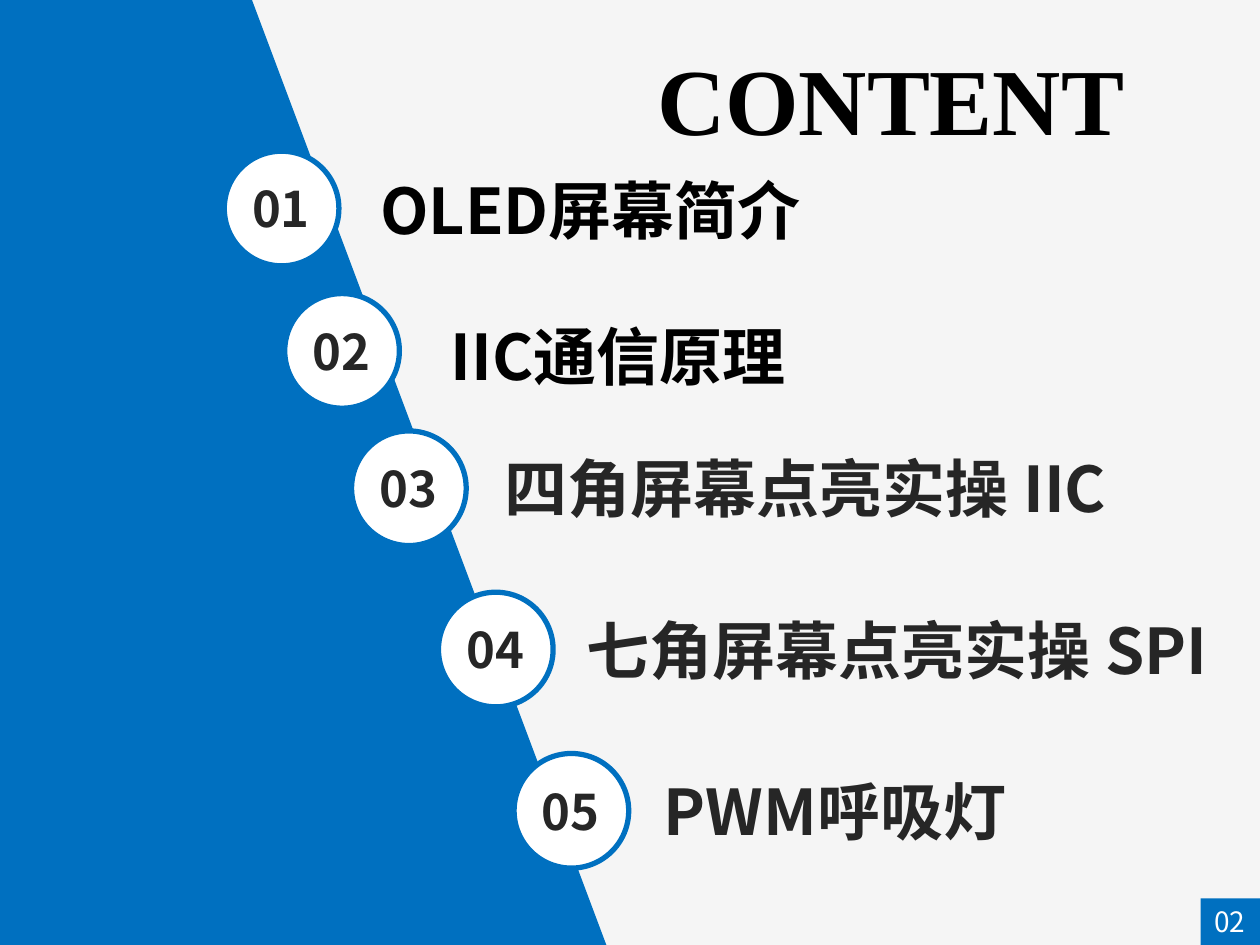
from dataclasses import dataclass

import pptx
import pptx.dml.color
import pptx.enum.shapes
import pptx.enum.text
import pptx.oxml.ns
import pptx.util
from lxml import etree
from pptx.util import Inches

RGBColor = pptx.dml.color.RGBColor
MSO_SHAPE = pptx.enum.shapes.MSO_SHAPE
PP_ALIGN = pptx.enum.text.PP_ALIGN

BLUE = RGBColor(0x00, 0x70, 0xC0)
WHITE = RGBColor(0xFF, 0xFF, 0xFF)
BLACK = RGBColor(0x00, 0x00, 0x00)
DARK = RGBColor(0x26, 0x26, 0x26)
PALE = RGBColor(0xF5, 0xF5, 0xF5)
SANS = "Noto Sans CJK SC"
SERIF = "Times New Roman"
DISC = 0.91


@dataclass
class Entry:
    """A numbered disc and its heading, placed by their top left corners."""
    disc_x: float
    disc_y: float
    text_x: float
    text_y: float
    text_w: float
    title: str
    color: RGBColor


ENTRIES = [
    Entry(1.78, 1.2, 2.92, 1.31, 6.22, "OLED屏幕简介", BLACK),
    Entry(2.26, 2.33, 3.48, 2.47, 5.47, "IIC通信原理", BLACK),
    Entry(2.79, 3.42, 3.91, 3.52, 5.46, "四角屏幕点亮实操 IIC", DARK),
    Entry(3.48, 4.7, 4.56, 4.8, 5.26, "七角屏幕点亮实操 SPI", DARK),
    Entry(4.08, 5.98, 5.17, 6.08, 5, "PWM呼吸灯", DARK),
]


def add_text(shapes, x: float, y: float, w: float, h: float, text: str,
             size: float, color: RGBColor, bold: bool = True,
             font: str = SANS, align=PP_ALIGN.LEFT) -> None:
    tb = shapes.add_textbox(Inches(x), Inches(y), Inches(w), Inches(h))
    tf = tb.text_frame
    tf.word_wrap = True
    tf.auto_size = pptx.enum.text.MSO_AUTO_SIZE.SHAPE_TO_FIT_TEXT
    p = tf.paragraphs[0]
    p.alignment = align
    r = p.add_run()
    r.text = text
    r.font.size = pptx.util.Pt(size)
    r.font.bold = bold
    r.font.color.rgb = color
    r.font.name = font
    # East Asian glyphs take their typeface from a:ea
    ea = etree.SubElement(r.font._element, pptx.oxml.ns.qn("a:ea"))
    ea.set("typeface", font)


def add_filled(shapes, kind, x: float, y: float, w: float, h: float,
               fill: RGBColor):
    sp = shapes.add_shape(kind, Inches(x), Inches(y), Inches(w), Inches(h))
    sp.shadow.inherit = False
    sp.fill.solid()
    sp.fill.fore_color.rgb = fill
    sp.line.fill.background()
    return sp


def add_entry(s, number: int, e: Entry) -> None:
    shapes = s.shapes.add_group_shape().shapes
    disc = add_filled(shapes, MSO_SHAPE.OVAL, e.disc_x, e.disc_y,
                      DISC, DISC, WHITE)
    disc.line.color.rgb = BLUE
    disc.line.width = pptx.util.Pt(3)
    add_text(shapes, e.disc_x + 0.08, e.disc_y + 0.17, 0.74, 0.57,
             f"{number:02d}", 28, DARK, align=PP_ALIGN.CENTER)
    add_text(s.shapes, e.text_x, e.text_y, e.text_w, 0.71,
             e.title, 36, e.color)


def add_side_panel(s, steps: int = 12) -> None:
    # The left edge bows slightly along a cubic curve
    edge = []
    for i in range(1, steps + 1):
        t = i / steps
        a, b, c = 3 * t * (1 - t) ** 2, 3 * t ** 2 * (1 - t), t ** 3
        edge.append((0.03 * b + 0.02 * c, 2.22 * a + 5.33 * b + 7.55 * c))
    fb = s.shapes.build_freeform(5.07, 7.51, scale=Inches(1))
    fb.add_line_segments([(1.56, 0), (0, 0)] + edge, close=True)
    sp = fb.convert_to_shape()
    sp.shadow.inherit = False
    sp.fill.solid()
    sp.fill.fore_color.rgb = BLUE
    sp.line.fill.background()


def main() -> None:
    prs = pptx.Presentation()
    prs.slide_width, prs.slide_height = Inches(10), Inches(7.5)
    s = prs.slides.add_slide(prs.slide_layouts[6])
    s.background.fill.solid()
    s.background.fill.fore_color.rgb = PALE

    # Side panel and title
    add_side_panel(s)
    add_text(s.shapes, 4.77, 0.28, 4.6, 1.01, "CONTENT", 54, BLACK,
             font=SERIF, align=PP_ALIGN.CENTER)

    # Contents
    for number, entry in enumerate(ENTRIES, start=1):
        add_entry(s, number, entry)

    # Page number
    badge = s.shapes.add_group_shape().shapes
    add_filled(badge, MSO_SHAPE.RECTANGLE, 9.53, 7.13, 0.47, 0.37, BLUE)
    add_text(badge, 9.41, 7.13, 0.7, 0.37, "02", 16, WHITE, bold=False,
             align=PP_ALIGN.CENTER)

    prs.save("out.pptx")


if __name__ == "__main__":
    main()
